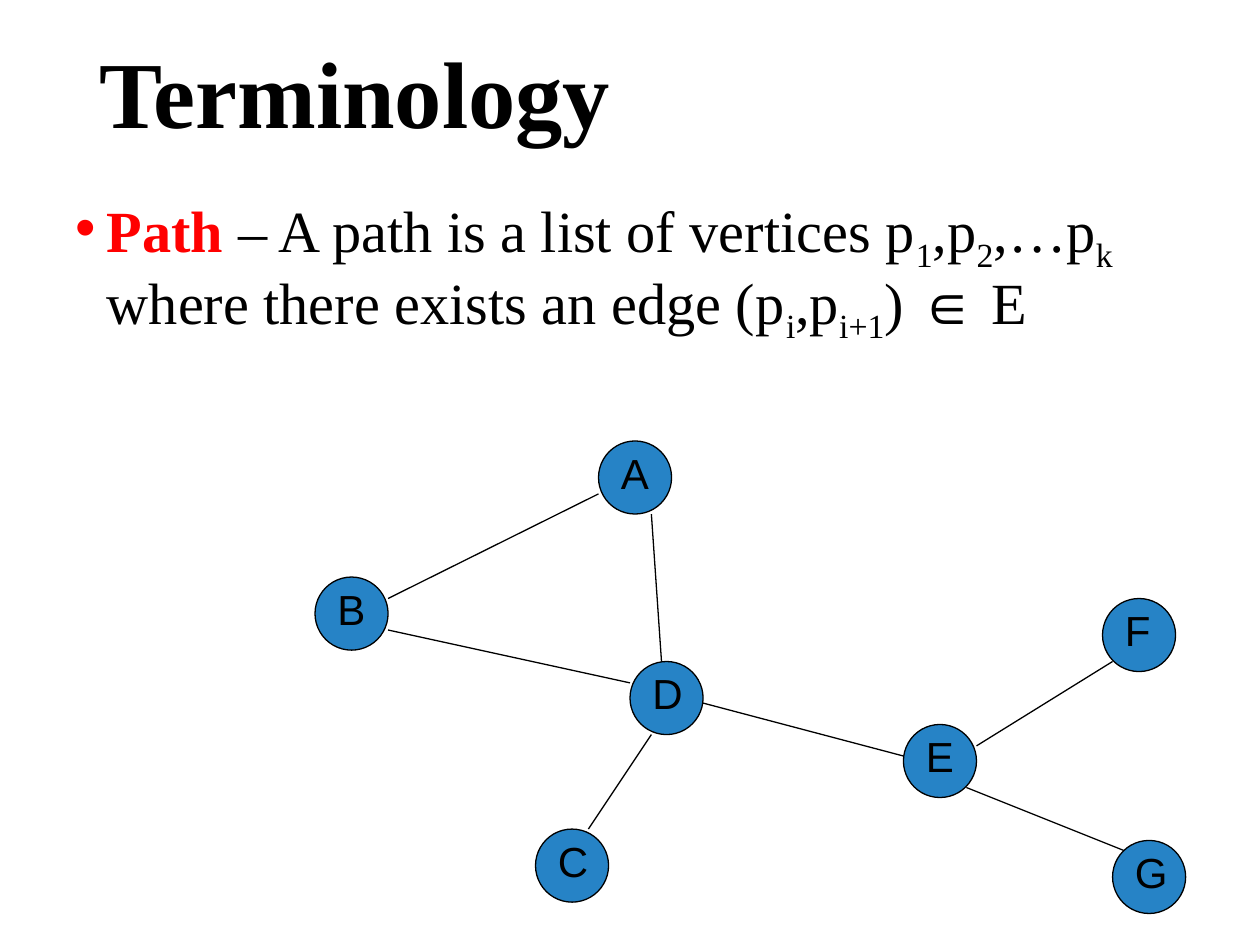
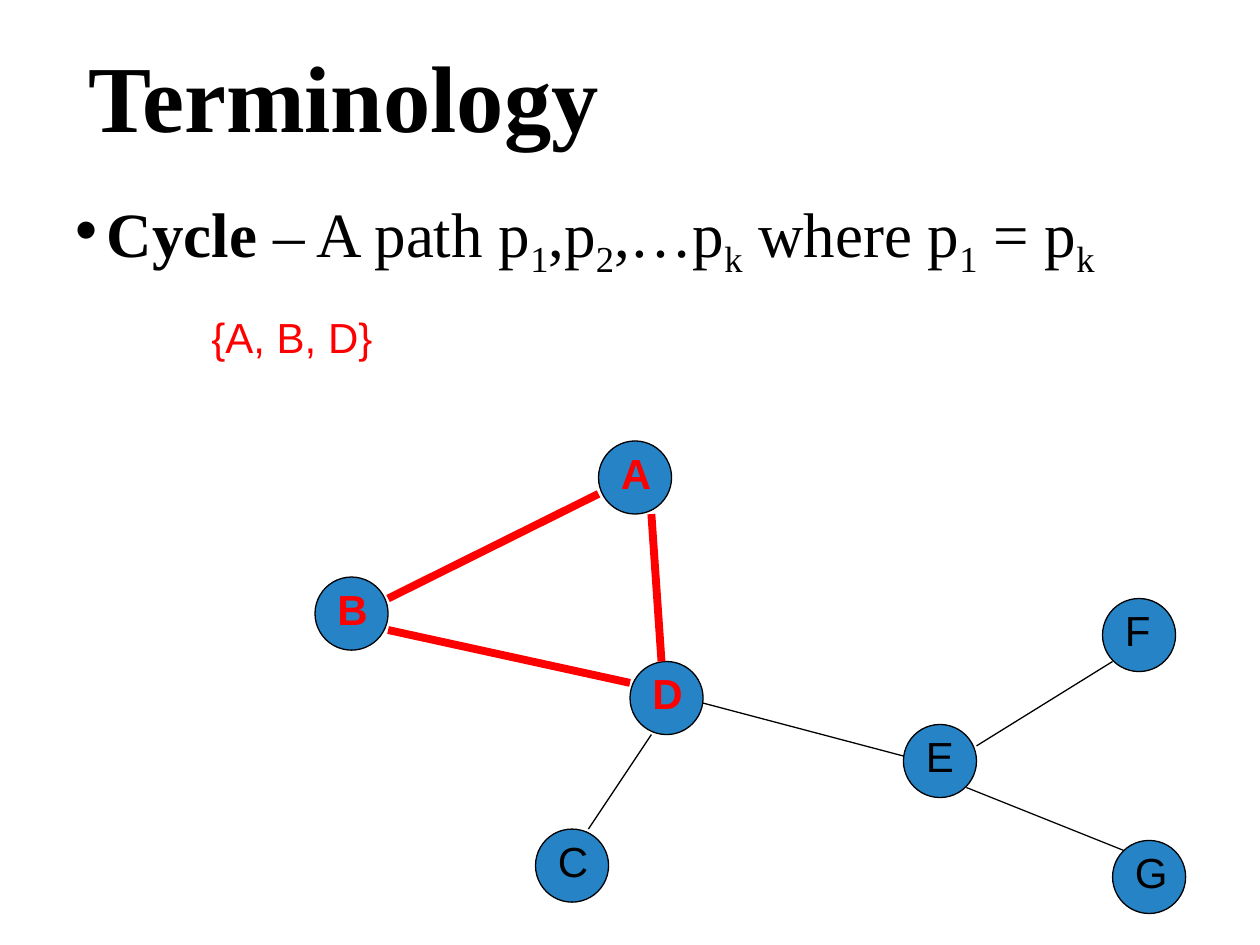
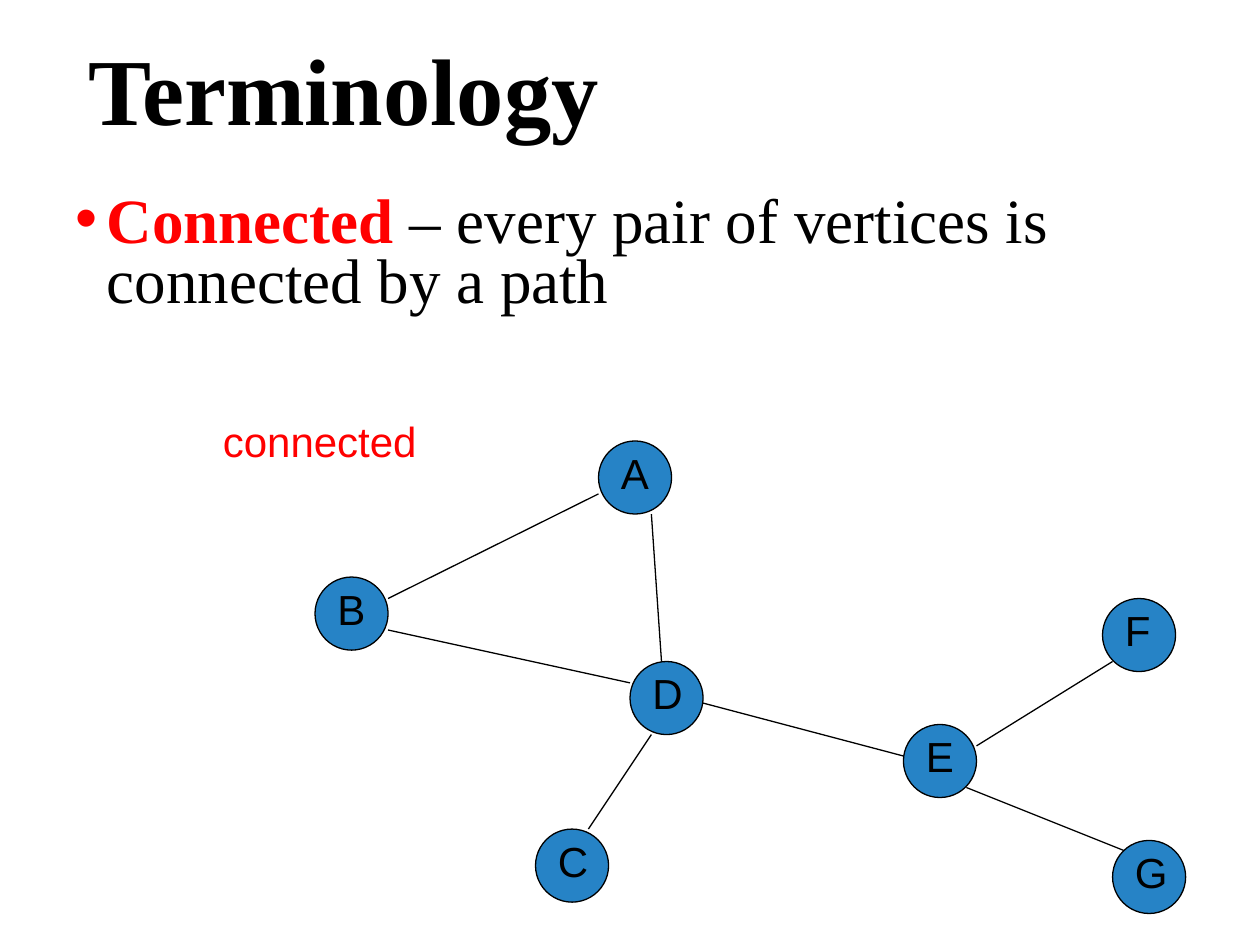
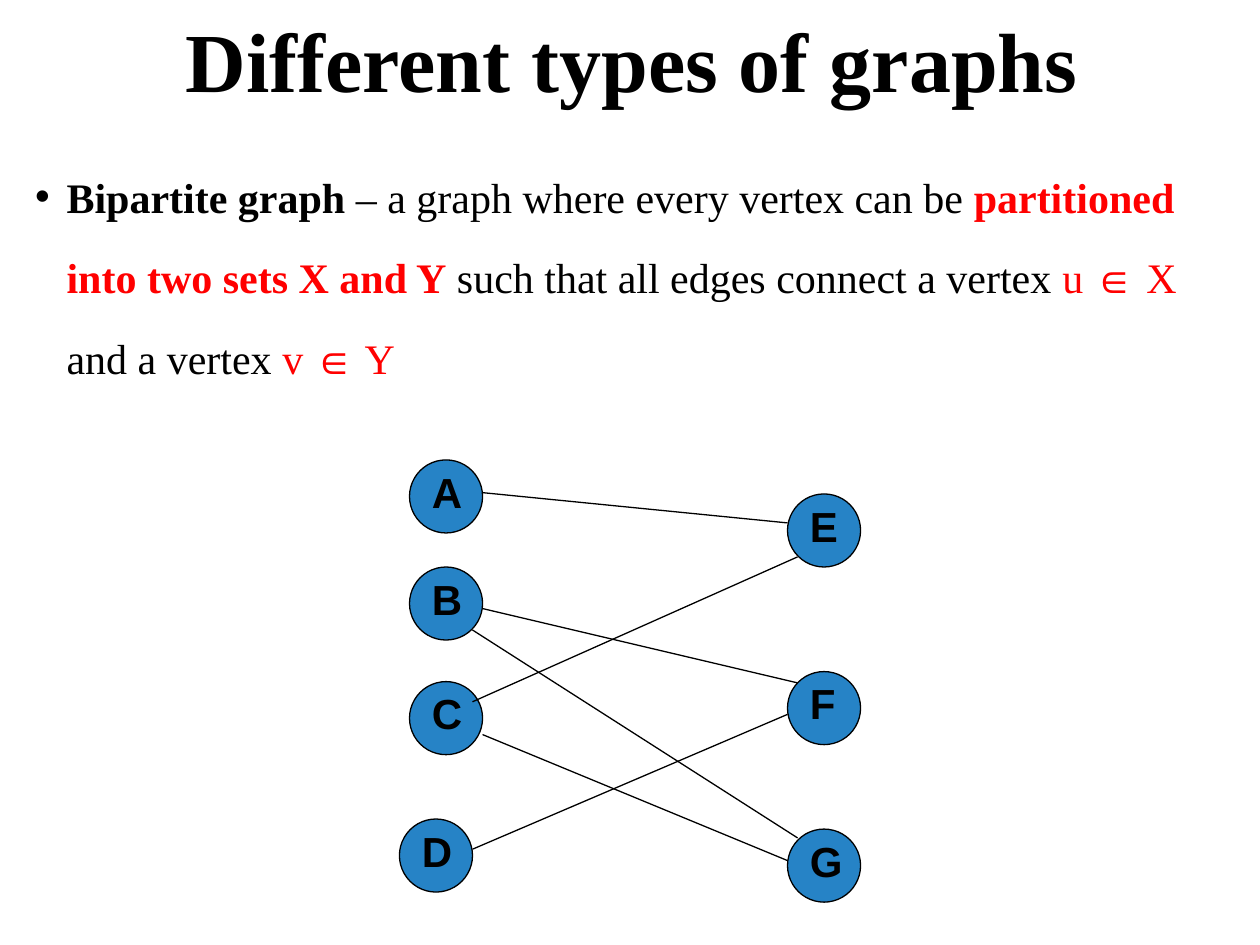
"""Builds four slides on graph terminology: path, cycle, connected and bipartite."""
from lxml.etree import SubElement
from pptx import Presentation
from pptx.dml.color import RGBColor
from pptx.enum.shapes import MSO_CONNECTOR, MSO_SHAPE
from pptx.enum.text import MSO_ANCHOR, MSO_AUTO_SIZE, PP_ALIGN
from pptx.oxml.ns import qn
from pptx.util import Inches, Pt

BLACK, RED, BLUE = "000000", "FF0000", "2683C6"
SERIF, SANS = "Times New Roman", "Arial"
NODE_SIZE, LABEL_SHIFT, LABEL_BOX = 0.58, 0.08, (0.5, 0.51)

BOLD = {"bold": True}
RED_TEXT = {"color": RED}
RED_BOLD = {"color": RED, "bold": True}
SUB = {"baseline": -25000}

NETWORK = {
    "nodes": {"A": (4.75, 3.5), "B": (2.5, 4.58), "C": (4.25, 6.58), "E": (7.17, 5.75),
              "D": (5, 5.25), "F": (8.75, 4.75), "G": (8.83, 6.67)},
    "edges": {"BA": (3.08, 4.75, 4.75, 3.92), "BD": (3.08, 5, 5, 5.42),
              "DA": (5.25, 5.25, 5.17, 4.08), "DC": (5.17, 5.83, 4.67, 6.58),
              "DE": (5.58, 5.58, 7.17, 6), "EF": (7.75, 5.92, 8.83, 5.25),
              "EG": (7.67, 6.25, 8.92, 6.75)},
}
BIPARTITE = {
    "nodes": {"A": (3.25, 3.65), "B": (3.25, 4.5), "C": (3.25, 5.41), "E": (6.25, 3.92),
              "D": (3.17, 6.5), "F": (6.25, 5.33), "G": (6.25, 6.58)},
    "edges": {"DF": (3.75, 6.74, 6.25, 5.67), "CG": (3.83, 5.83, 6.25, 6.83),
              "CE": (3.75, 5.57, 6.33, 4.42), "BF": (3.83, 4.83, 6.33, 5.42),
              "AE": (3.83, 3.91, 6.25, 4.15), "BG": (3.75, 5, 6.33, 6.65)},
}

SLIDES = [
    {"title": ("Terminology", (0.69, 0.05, 8.62, 1.45), {"size": 54}),
     "definition": ([("Path", RED_BOLD), (" – A path is a list of vertices p", {}), ("1", SUB),
                     (",p", {}), ("2", SUB), (",…p", {}), ("k", SUB),
                     (" where there exists an edge (p", {}), ("i", SUB), (",p", {}),
                     ("i+1", SUB), (") ∈ E", {})],
                    (0.5, 1.5, 9, 1.17), {"size": 33.3, "spacing": 0.9}),
     "graph": NETWORK},
    {"title": ("Terminology", (0.6, 0.08, 8.62, 1.45), {"size": 54}),
     "definition": ([("Cycle", BOLD), (" – A path p", {}), ("1", SUB), (",p", {}), ("2", SUB),
                     (",…p", {}), ("k", SUB), (" where p", {}), ("1", SUB), (" = p", {}),
                     ("k", SUB)],
                    (0.5, 1.5, 9, 0.83), {"size": 36, "spacing": 0.9}),
     "graph": NETWORK, "cycle": "ABD",
     "answer": ("{A, B, D}", (1.58, 2.42, 2.58, 0.5))},
    {"title": ("Terminology", (0.6, 0.03, 8.62, 1.45), {"size": 54}),
     "definition": ([("Connected", RED_BOLD),
                     (" – every pair of vertices is connected by a path", {})],
                    (0.5, 1.5, 9, 1.17), {"size": 36, "spacing": 0.8}),
     "graph": NETWORK,
     "answer": ("connected", (1.67, 3.25, 2.33, 0.5))},
    {"title": ("Different types of graphs", (0.5, 0.05, 9.03, 0.94),
               {"size": 48, "align": PP_ALIGN.CENTER}),
     "definition": ([("Bipartite graph ", BOLD), ("– a graph where every vertex can be ", {}),
                     ("partitioned into two sets X and Y", RED_BOLD),
                     (" such that all edges connect a vertex ", {}), ("u ∈ X ", RED_TEXT),
                     ("and a vertex ", {}), ("v ∈ Y", RED_TEXT)],
                    (0.18, 1.07, 9.64, 2.08), {"size": 24, "spacing": 1.6}),
     "graph": BIPARTITE, "bold_labels": True},
]


def rgb(color):
    return RGBColor.from_string(color)


def add_text(shapes, text, place, size=24, font=SANS, color=BLACK, bold=False, align=None,
             anchor=MSO_ANCHOR.TOP, spacing=None, bullet=False, grow=False):
    box = shapes.add_textbox(*map(Inches, place))
    frame = box.text_frame
    frame.word_wrap = True
    frame.vertical_anchor = anchor
    frame.auto_size = MSO_AUTO_SIZE.SHAPE_TO_FIT_TEXT if grow else MSO_AUTO_SIZE.NONE
    paragraph = frame.paragraphs[0]
    if bullet:
        properties = paragraph._p.get_or_add_pPr()
        properties.set("marL", str(Inches(0.25)))
        properties.set("indent", str(-Inches(0.25)))
        SubElement(properties, qn("a:buFont"), typeface=SANS)
        SubElement(properties, qn("a:buChar"), char="•")
    paragraph.alignment = align
    paragraph.line_spacing = spacing
    for words, style in [(text, {})] if isinstance(text, str) else text:
        run = paragraph.add_run()
        run.text = words
        run.font.name = font
        run.font.size = Pt(size)
        run.font.bold = style.get("bold", bold)
        run.font.color.rgb = rgb(style.get("color", color))
        if "baseline" in style:
            run._r.get_or_add_rPr().set("baseline", str(style["baseline"]))


def add_node(shapes, letter, left, top, **label_format):
    group = shapes.add_group_shape().shapes
    circle = group.add_shape(MSO_SHAPE.OVAL, *map(Inches, (left, top, NODE_SIZE, NODE_SIZE)))
    circle.shadow.inherit = False
    circle.fill.solid()
    circle.fill.fore_color.rgb = rgb(BLUE)
    circle.line.color.rgb = rgb(BLACK)
    circle.line.width = Pt(0.75)
    add_text(group, letter, (left + LABEL_SHIFT, top, *LABEL_BOX), grow=True, **label_format)


def add_edge(shapes, ends, color, width):
    edge = shapes.add_connector(MSO_CONNECTOR.STRAIGHT, *map(Inches, ends))
    edge.line.color.rgb = rgb(color)
    edge.line.width = Pt(width)
    SubElement(edge._element.spPr, qn("a:effectLst"))


def add_graph(shapes, graph, cycle="", bold_labels=False):
    for letter, (left, top) in graph["nodes"].items():
        in_cycle = letter in cycle
        add_node(shapes, letter, left, top, color=RED if in_cycle else BLACK,
                 bold=in_cycle or bold_labels)
    for letters, ends in graph["edges"].items():
        in_cycle = set(letters) <= set(cycle)
        add_edge(shapes, ends, RED if in_cycle else BLACK, 4.5 if in_cycle else 0.75)


def build_slide(presentation, content):
    shapes = presentation.slides.add_slide(presentation.slide_layouts[6]).shapes
    title, title_place, title_format = content["title"]
    add_text(shapes, title, title_place, font=SERIF, bold=True, spacing=0.9,
             anchor=MSO_ANCHOR.MIDDLE, **title_format)
    definition, definition_place, definition_format = content["definition"]
    add_text(shapes, definition, definition_place, font=SERIF, bullet=True, **definition_format)
    add_graph(shapes, content["graph"], content.get("cycle", ""),
              content.get("bold_labels", False))
    if "answer" in content:
        add_text(shapes, *content["answer"], color=RED, grow=True)


def main():
    presentation = Presentation()
    presentation.slide_width, presentation.slide_height = Inches(10), Inches(7.5)
    for content in SLIDES:
        build_slide(presentation, content)
    presentation.save("out.pptx")


if __name__ == "__main__":
    main()
